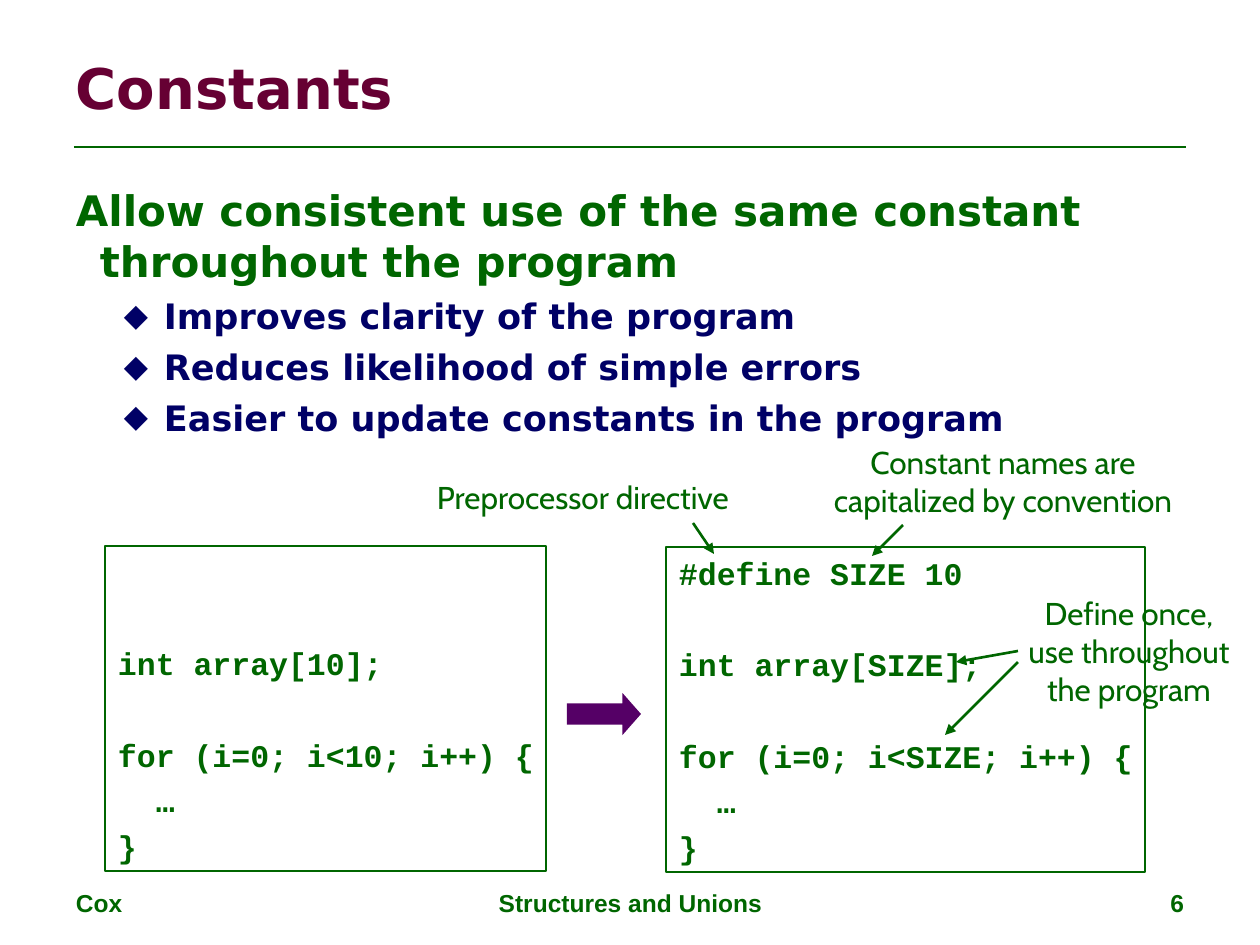
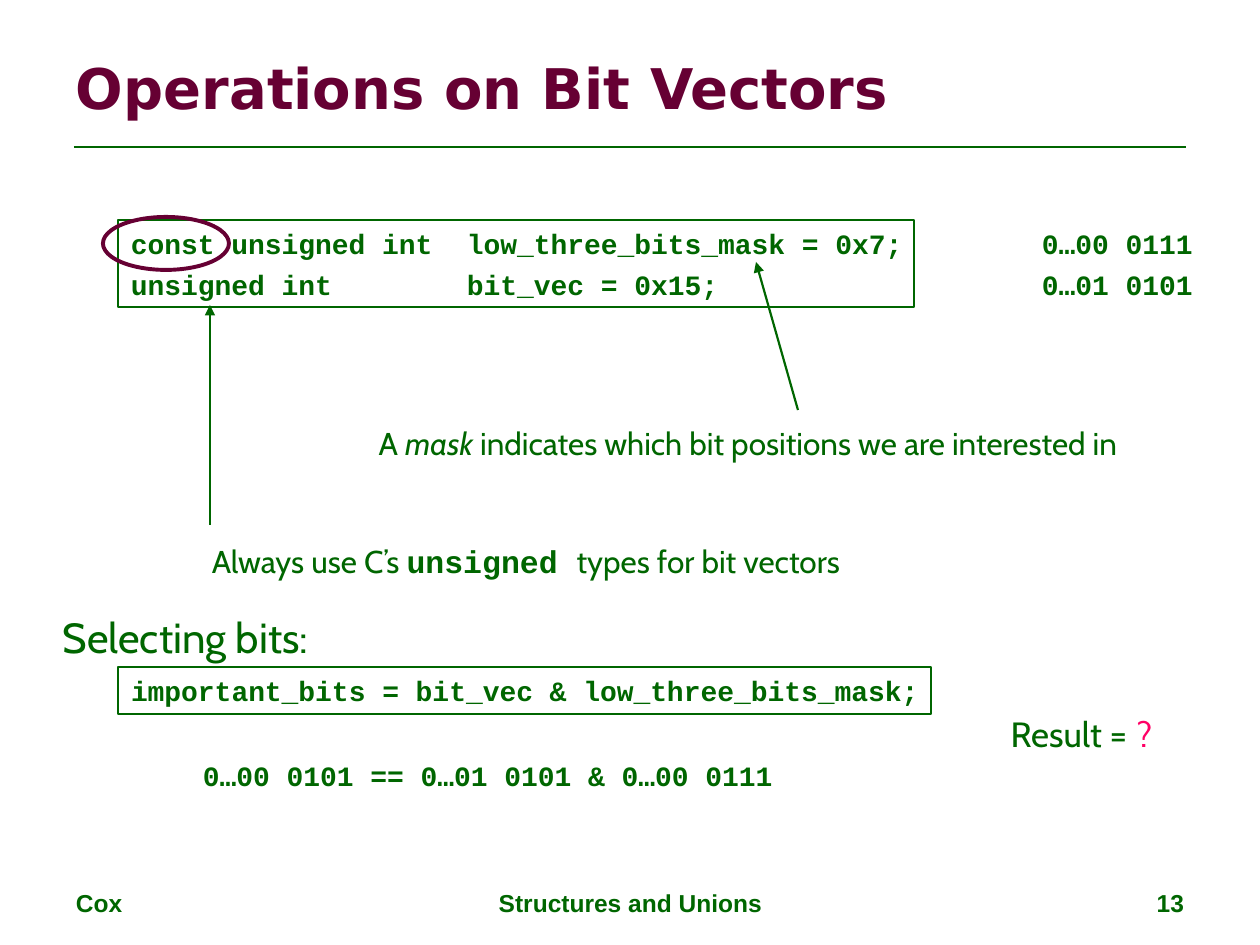
"""Build two lecture slides about C constants and bit vectors."""
import lxml.etree
import pptx
import pptx.dml.color
import pptx.enum.shapes
import pptx.enum.text
import pptx.oxml.ns
import pptx.util

RGB = pptx.dml.color.RGBColor
GREEN = RGB(0x00, 0x66, 0x00)
WINE = RGB(0x66, 0x00, 0x33)
NAVY = RGB(0x00, 0x00, 0x66)
PURPLE = RGB(0x55, 0x00, 0x66)
PINK = RGB(0xFF, 0x00, 0x66)
WHITE = RGB(0xFF, 0xFF, 0xFF)

SHAPE = pptx.enum.shapes.MSO_SHAPE
LEFT = pptx.enum.text.PP_ALIGN.LEFT
MID = pptx.enum.text.PP_ALIGN.CENTER
RIGHT = pptx.enum.text.PP_ALIGN.RIGHT

SCALE = 914400 / 126
PAD = 13
LEAD = 1.2

TITLE = dict(font="DejaVu Sans", size=32, color=WINE, bold=True)
HEAD = dict(font="DejaVu Sans", size=24, color=GREEN, bold=True)
POINT = dict(font="DejaVu Sans", size=20, color=NAVY, bold=True)
FOOT = dict(font="Arial", size=14, color=GREEN, bold=True)
NOTE = dict(font="Cabin", size=18, color=GREEN, bold=False)
CODE = dict(font="Courier New", size=18, color=GREEN, bold=True)
BITS = dict(CODE, size=16)

FEET = [("Cox", 63, 294, LEFT), ("Structures and Unions", 431, 399, MID)]
PAGE = (903, 294, RIGHT)

CLAIM = "Allow consistent use of the same constant throughout the program"
GAINS = [
    "Improves clarity of the program",
    "Reduces likelihood of simple errors",
    "Easier to update constants in the program",
]

BEFORE = [
    (2, 0, "int array[10];"),
    (1, 0, "for (i=0; i<10; i++) {"),
    (0, 2, "…"),
    (0, 0, "}"),
]
AFTER = [
    (0, 0, "#define SIZE 10"),
    (1, 0, "int array[SIZE];"),
    (1, 0, "for (i=0; i<SIZE; i++) {"),
    (0, 2, "…"),
    (0, 0, "}"),
]
HINTS = [
    ((399, 472, 368, 50), ["Preprocessor directive"]),
    ((798, 437, 410, 88), ["Constant names are", "capitalized by convention"]),
    ((998, 588, 262, 126), ["Define once,", "use throughout", "the program"]),
]
HINT_RAYS = [
    (693, 523, 714, 554),
    (903, 525, 872, 556),
    (1018, 651, 956, 662),
    (1018, 662, 945, 735),
]

MASKS = [
    (0, 0, "const unsigned int\tlow_three_bits_mask = 0x7;"),
    (0, 0, "unsigned int\tbit_vec = 0x15;"),
]
VALUES = [(0, 0, "0…00 0111"), (0, 0, "0…01 0101")]
SELECT = [(0, 0, "important_bits = bit_vec & low_three_bits_mask;")]
OUTCOME = [(0, 0, "0…00 0101 == 0…01 0101 & 0…00 0111")]
TYPES = [
    ("Always use C’s ", {}),
    ("unsigned ", dict(font="Courier New", bold=True)),
    ("types for bit vectors", {}),
]
MASK = [
    ("A ", {}),
    ("mask", dict(italic=True)),
    (" indicates which bit positions we are interested in", {}),
]
RESULT = [("Result =", {}), (" ", dict(size=24)), ("?", dict(color=PINK))]
BIT_RAYS = [(210, 525, 210, 305), (798, 410, 756, 262)]


def px(count):
    return pptx.util.Emu(round(count * SCALE))


def node(parent, tag, **attrs):
    item = lxml.etree.SubElement(parent, pptx.oxml.ns.qn("a:" + tag))
    for key, value in attrs.items():
        item.set(key, str(value))
    return item


def style(run, font, size, color, bold, italic=False):
    run.font.name = font
    run.font.size = pptx.util.Pt(size)
    run.font.color.rgb = color
    run.font.bold = bold
    run.font.italic = italic


def frame(shape, align=LEFT, top=6):
    text = shape.text_frame
    text.word_wrap = True
    text.margin_left = px(PAD if align == LEFT else 0)
    text.margin_right = px(PAD if align == RIGHT else 0)
    text.margin_top, text.margin_bottom = px(top), px(6)
    text.vertical_anchor = pptx.enum.text.MSO_ANCHOR.TOP
    return text


def fill(text, lines, look, align=LEFT):
    for spot, line in enumerate(lines):
        para = text.add_paragraph() if spot else text.paragraphs[0]
        para.alignment = align
        parts = [(line, {})] if isinstance(line, str) else line
        for words, change in parts:
            run = para.add_run()
            run.text = words
            style(run, **{**look, **change})
    return text.paragraphs


def label(slide, box, lines, look, align=LEFT):
    text = frame(slide.shapes.add_textbox(*map(px, box)), align)
    fill(text, lines, look, align)
    return text


def shape(slide, kind, box, color=None, edge=None, width=0.75):
    item = slide.shapes.add_shape(kind, *map(px, box))
    item.shadow.inherit = False
    if color is None:
        item.fill.background()
    else:
        item.fill.solid()
        item.fill.fore_color.rgb = color
    if edge is None:
        item.line.fill.background()
    else:
        item.line.color.rgb = edge
        item.line.width = pptx.util.Pt(width)
    return item


def space(para, size, before):
    para.line_spacing = pptx.util.Pt(size * LEAD)
    para.space_before = pptx.util.Pt(before)


def code(slide, box, lines, look, edge=GREEN):
    size = look["size"]
    gap = size / 4
    pitch = size * LEAD + gap
    top = 7 + lines[0][0] * pitch * 126 / 72
    text = frame(shape(slide, SHAPE.RECTANGLE, box, edge=edge), top=top)
    text.margin_right = 0
    paras = fill(text, [line[2] for line in lines], look)
    for spot, (para, (blank, indent, words)) in enumerate(zip(paras, lines)):
        space(para, size, gap + blank * pitch if spot else 0)
        props = para._p.get_or_add_pPr()
        if indent:
            props.set("marL", str(pptx.util.Pt(indent * size * 0.6)))
        if "\t" in words:
            stops = node(props, "tabLst")
            node(stops, "tab", pos=pptx.util.Pt(20 * size * 0.6), algn="l")


def ray(slide, ends, width, tip=True):
    kind = pptx.enum.shapes.MSO_CONNECTOR.STRAIGHT
    item = slide.shapes.add_connector(kind, *map(px, ends))
    item.line.color.rgb = GREEN
    item.line.width = pptx.util.Pt(width)
    if tip:
        node(item.get_or_add_ln(), "tailEnd", type="triangle")
    node(item._element.spPr, "effectLst")


def start(deck, title, page):
    slide = deck.slides.add_slide(deck.slide_layouts[6])
    slide.background.fill.solid()
    slide.background.fill.fore_color.rgb = WHITE
    ray(slide, (74, 147, 1186, 147), 1.5, tip=False)
    for words, left, width, align in FEET + [(str(page), *PAGE)]:
        label(slide, (left, 882, width, 44), [words], FOOT, align)
    text = label(slide, (63, 38, 1134, 98), [title], TITLE)
    text.vertical_anchor = pptx.enum.text.MSO_ANCHOR.MIDDLE
    return slide


def body(slide):
    text = label(slide, (63, 179, 1134, 270), [CLAIM], HEAD)
    first = text.paragraphs[0]
    space(first, HEAD["size"], 0)
    props = first._p.get_or_add_pPr()
    props.set("marL", str(px(24)))
    props.set("indent", str(px(-24)))
    for gain in GAINS:
        para = text.add_paragraph()
        para.text = gain
        para.level = 1
        style(para.runs[0], **POINT)
        space(para, POINT["size"], 5)
        props = para._p.get_or_add_pPr()
        props.set("marL", str(px(88)))
        props.set("indent", str(px(-40)))
        node(node(props, "buClr"), "srgbClr", val=NAVY)
        node(props, "buSzPct", val=90000)
        node(props, "buFont", typeface=POINT["font"])
        node(props, "buChar", char="◆")


def constants(deck):
    slide = start(deck, "Constants", 6)
    body(slide)
    code(slide, (105, 546, 441, 325), BEFORE, CODE)
    code(slide, (666, 547, 479, 325), AFTER, CODE)
    arrow = shape(slide, SHAPE.RIGHT_ARROW, (567, 693, 74, 42), color=PURPLE)
    arrow.adjustments[1] = 0.44
    for ends in HINT_RAYS:
        ray(slide, ends, 1.5)
    for box, lines in HINTS:
        label(slide, box, lines, NOTE, MID)


def vectors(deck):
    slide = start(deck, "Operations on Bit Vectors", 13)
    code(slide, (118, 220, 796, 87), MASKS, BITS)
    code(slide, (1029, 220, 175, 87), VALUES, BITS, edge=None)
    for ends in BIT_RAYS:
        ray(slide, ends, 1.25)
    label(slide, (172, 536, 708, 50), [TYPES], NOTE, MID)
    label(slide, (320, 418, 856, 50), [MASK], NOTE, MID)
    code(slide, (190, 752, 595, 47), OUTCOME, BITS, edge=None)
    code(slide, (118, 667, 813, 47), SELECT, BITS)
    label(slide, (36, 606, 299, 63), ["Selecting bits:"], dict(NOTE, size=24), MID)
    label(slide, (991, 700, 181, 63), [RESULT], dict(NOTE, size=20), MID)
    shape(slide, SHAPE.OVAL, (103, 217, 126, 53), edge=WINE, width=2.25)


def main():
    deck = pptx.Presentation()
    deck.slide_width, deck.slide_height = px(1260), px(945)
    constants(deck)
    vectors(deck)
    deck.save("out.pptx")


if __name__ == "__main__":
    main()
